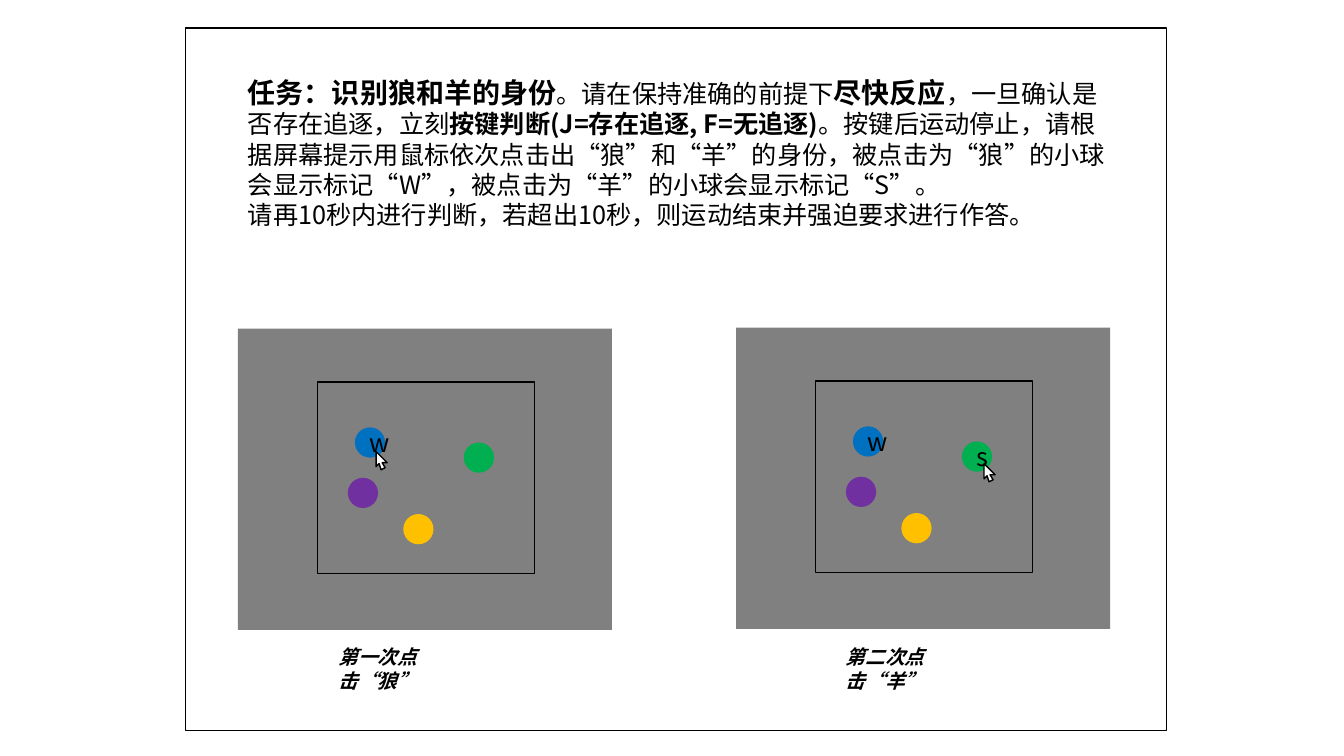
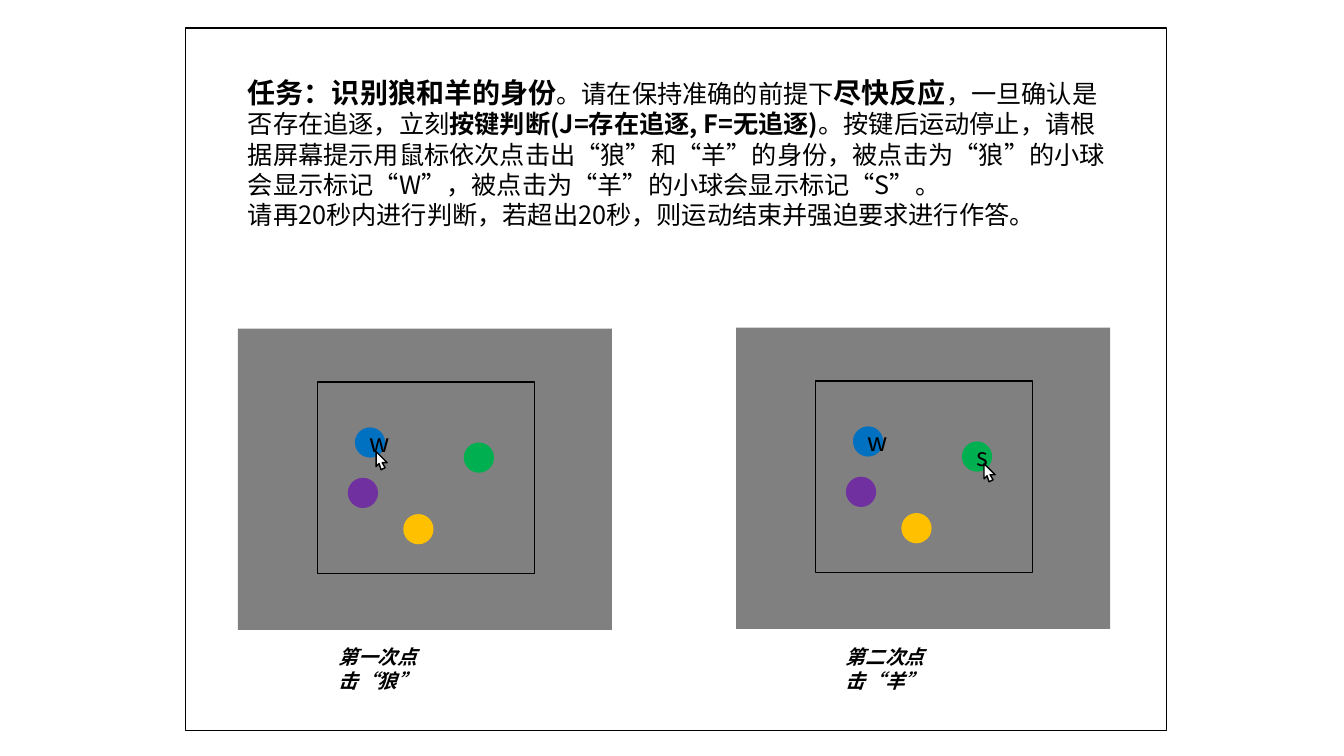
from lxml.etree import SubElement
from pptx import Presentation
from pptx.dml.color import RGBColor
from pptx.enum.shapes import MSO_SHAPE
from pptx.enum.text import MSO_ANCHOR, PP_ALIGN
from pptx.oxml.ns import qn
from pptx.util import Inches, Pt

FONT = "Noto Sans CJK SC"
COLOURS = {
    "ink": "000000",
    "paper": "FFFFFF",
    "screen": "808080",
    "blue": "0070C0",
    "orange": "FFC000",
    "green": "00B050",
    "purple": "7030A0",
}

# Offsets inside a screen panel, in inches
PANEL_SIZE = (3.71, 2.99)
ARENA_BOX = (0.79, 0.53, 2.15, 1.9)
BALL_SIZE = 0.3
BALLS = {
    "blue": (1.16, 0.98),
    "orange": (1.64, 1.84),
    "green": (2.24, 1.13),
    "purple": (1.09, 1.48),
}
CURSOR_OUTLINE = [(0, 0), (0.11, 0.11), (0.06, 0.11), (0.09, 0.16),
                  (0.05, 0.18), (0.03, 0.12), (0, 0.15)]

# Panel position, ball letters, cursor offset, caption and caption offset
PANELS = [
    ((2.36, 3.26), {"blue": "w"}, (1.37, 1.22), "第一次点击“狼”", (0.9, 3.09)),
    ((7.3, 3.25), {"blue": "w", "green": "s"}, (2.46, 1.35),
     "第二次点击“羊”", (0.99, 3.1)),
]


def paint(shape, fill=None, line=None):
    """Set fill and outline, without a shadow."""
    shape.shadow.inherit = False
    if fill:
        shape.fill.solid()
        shape.fill.fore_color.rgb = RGBColor.from_string(COLOURS[fill])
    else:
        shape.fill.background()
    if line:
        shape.line.color.rgb = RGBColor.from_string(COLOURS[line])
        shape.line.width = Pt(1)
    else:
        shape.line.fill.background()


def add_block(shapes, kind, box, fill=None, line=None):
    shape = shapes.add_shape(kind, *map(Inches, box))
    paint(shape, fill, line)
    return shape


def write(paragraph, text, size=18, bold=False, italic=False, colour="ink"):
    """Add one formatted run, with the same font for Latin and Chinese."""
    run = paragraph.add_run()
    run.text = text
    font = run.font
    font.name, font.size, font.bold, font.italic = FONT, Pt(size), bold, italic
    font.color.rgb = RGBColor.from_string(COLOURS[colour])
    SubElement(font._element, qn("a:ea")).set("typeface", FONT)


def add_text(slide, box, paragraphs, spacing):
    """Each paragraph is a list of (text, format) pairs."""
    frame = slide.shapes.add_textbox(*map(Inches, box)).text_frame
    frame.word_wrap = True
    for index, runs in enumerate(paragraphs):
        paragraph = frame.add_paragraph() if index else frame.paragraphs[0]
        paragraph.line_spacing = Pt(spacing)
        for text, style in runs:
            write(paragraph, text, **style)


def add_ball(shapes, left, top, colour, letter):
    ball = add_block(shapes, MSO_SHAPE.OVAL,
                     (left, top, BALL_SIZE, BALL_SIZE), fill=colour)
    if letter:
        ball.text_frame.vertical_anchor = MSO_ANCHOR.MIDDLE
        paragraph = ball.text_frame.paragraphs[0]
        paragraph.alignment = PP_ALIGN.CENTER
        write(paragraph, letter)


def add_cursor(slide, left, top):
    points = [(Inches(left + x), Inches(top + y)) for x, y in CURSOR_OUTLINE]
    builder = slide.shapes.build_freeform(*points[0])
    builder.add_line_segments(points[1:], close=True)
    paint(builder.convert_to_shape(), fill="paper", line="ink")


def add_panel(slide, origin, letters, cursor, caption, caption_offset):
    """One screen with its arena, balls, mouse cursor and caption."""
    def place(offset):
        return origin[0] + offset[0], origin[1] + offset[1]

    # Screen and balls
    shapes = slide.shapes.add_group_shape().shapes
    add_block(shapes, MSO_SHAPE.RECTANGLE, (*origin, *PANEL_SIZE), fill="screen")
    add_block(shapes, MSO_SHAPE.RECTANGLE,
              (*place(ARENA_BOX), *ARENA_BOX[2:]), line="ink")
    for colour, offset in BALLS.items():
        add_ball(shapes, *place(offset), colour, letters.get(colour))

    # Cursor and caption
    add_cursor(slide, *place(cursor))
    add_text(slide, (*place(caption_offset), 1.1, 0.58),
             [[(caption, {"size": 14, "bold": True, "italic": True})]], spacing=17)


def add_instructions(slide, box, seconds):
    heading = {"size": 20, "bold": True}
    add_text(slide, box, [
        [
            ("任务：识别狼和羊的身份", heading),
            ("。请在保持准确的前提下", {}),
            ("尽快反应", heading),
            ("，一旦确认是否存在追逐，立刻", {}),
            ("按键判断(J=存在追逐, F=无追逐)", {"bold": True}),
            ("。按键后运动停止，请根据屏幕提示用鼠标依次点击出“狼”和“羊”的身份，"
             "被点击为“狼”的小球会显示标记“W”，被点击为“羊”的小球会显示标记“S”。", {}),
        ],
        [(f"请再{seconds}秒内进行判断，若超出{seconds}秒，"
          "则运动结束并强迫要求进行作答。", {})],
    ], spacing=21.6)


def add_task_slide(presentation, seconds):
    slide = presentation.slides.add_slide(presentation.slide_layouts[6])
    # Page frame
    page = add_block(slide.shapes, MSO_SHAPE.ROUNDED_RECTANGLE,
                     (1.84, 0.28, 9.73, 6.97), line="ink")
    page.adjustments[0] = 0
    add_instructions(slide, (2.36, 0.73, 8.77, 1.65), seconds)
    for panel in PANELS:
        add_panel(slide, *panel)


def main():
    presentation = Presentation()
    presentation.slide_width = Inches(13.33)
    presentation.slide_height = Inches(7.5)
    for seconds in (10, 20):
        add_task_slide(presentation, seconds)
    presentation.save("out.pptx")


if __name__ == "__main__":
    main()
